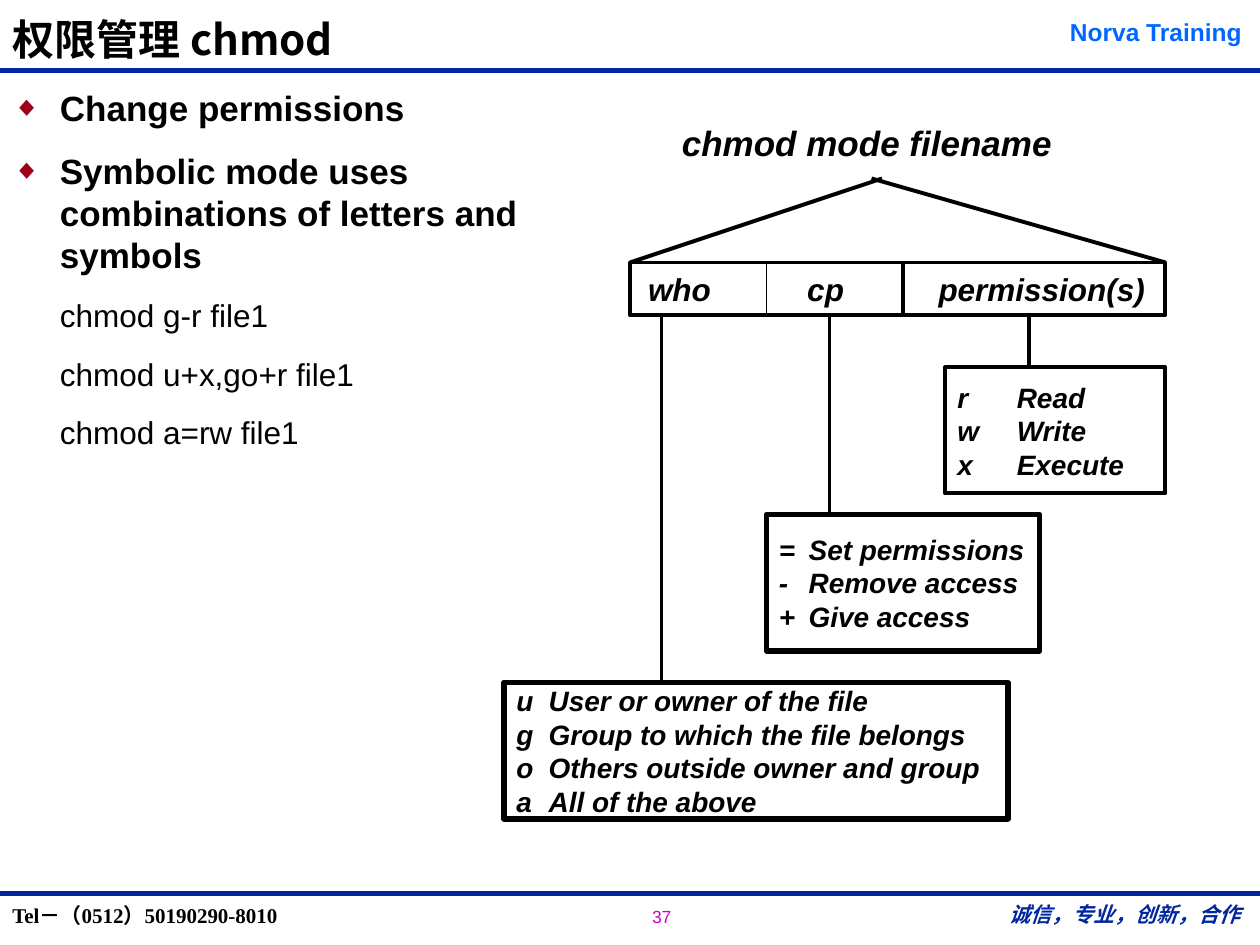
"""Build the slide on chmod symbolic mode with its permission diagram."""
from lxml.etree import SubElement
from pptx import Presentation
from pptx.dml.color import RGBColor
from pptx.enum.shapes import MSO_CONNECTOR, MSO_SHAPE
from pptx.enum.text import MSO_ANCHOR, MSO_AUTO_SIZE, PP_ALIGN
from pptx.oxml.ns import qn
from pptx.util import Pt

BLACK = RGBColor(0x00, 0x00, 0x00)
WHITE = RGBColor(0xFF, 0xFF, 0xFF)
NAVY = RGBColor(0x00, 0x27, 0x9F)
BLUE = RGBColor(0x00, 0x66, 0xFF)
MAGENTA = RGBColor(0xCC, 0x00, 0xCC)
CRIMSON = RGBColor(0x9E, 0x00, 0x1B)
CHINESE_FONT = "Noto Sans CJK SC"


def format_text(paragraph, size, color=BLACK, bold=True, italic=False, font="Arial"):
    for span in paragraph.runs:
        span.font.size = Pt(size)
        span.font.bold = bold
        span.font.italic = italic
        span.font.name = font
        span.font.color.rgb = color
        SubElement(span.font._element, qn("a:ea"), typeface=CHINESE_FONT)


def add_line(page, start, end, width=2.25, color=BLACK):
    points = [Pt(value) for value in (*start, *end)]
    line = page.shapes.add_connector(MSO_CONNECTOR.STRAIGHT, *points)
    line.line.color.rgb = color
    line.line.width = Pt(width)
    SubElement(line._element.spPr, qn("a:effectLst"))


deck = Presentation()
deck.slide_width, deck.slide_height = Pt(720), Pt(540)
page = deck.slides.add_slide(deck.slide_layouts[1])

for rule_y in (40.5, 510.5):
    add_line(page, (0, rule_y), (720, rule_y), 2.75, NAVY)

title = page.shapes.title
title.left, title.top, title.width, title.height = Pt(0), Pt(0), Pt(600), Pt(40.5)
title.text_frame.text = "权限管理 chmod"
title.text_frame.auto_size = MSO_AUTO_SIZE.NONE
title.text_frame.vertical_anchor = MSO_ANCHOR.BOTTOM
heading = title.text_frame.paragraphs[0]
heading.alignment = PP_ALIGN.LEFT
heading.line_spacing = 0.87
format_text(heading, 24, font=CHINESE_FONT)

body = page.placeholders[1]
body.left, body.top, body.width, body.height = Pt(0), Pt(46), Pt(306), Pt(459)
body.text_frame.text = "\n".join([
    "Change permissions",
    "Symbolic mode uses combinations of letters and symbols",
    "chmod g-r file1",
    "chmod u+x,go+r file1",
    "chmod a=rw file1",
])
body.text_frame.auto_size = MSO_AUTO_SIZE.NONE
for index, paragraph in enumerate(body.text_frame.paragraphs):
    bulleted = index < 2
    paragraph.space_before = paragraph.space_after = Pt(5.9)
    format_text(paragraph, 20 if bulleted else 18, bold=bulleted)
    properties = paragraph._p.get_or_add_pPr()
    properties.set("marL", str(Pt(27)))
    properties.set("indent", str(Pt(-27 if bulleted else 0)))
    if bulleted:
        bullet_color = SubElement(properties, qn("a:buClr"))
        SubElement(bullet_color, qn("a:srgbClr"), val=str(CRIMSON))
        SubElement(properties, qn("a:buSzPct"), val="80000")
        SubElement(properties, qn("a:buChar"), char="◆")
    else:
        SubElement(properties, qn("a:buNone"))

labels = [
    ("Norva Training", (603, 6, 115, 24), PP_ALIGN.CENTER, 14, BLUE, False, "Arial"),
    ("Tel－（0512）50190290-8010", (0, 511, 204, 24), PP_ALIGN.LEFT, 12, BLACK, False, "Times New Roman"),
    ("37", (365.5, 514, 27, 19), PP_ALIGN.LEFT, 10, MAGENTA, False, "Arial"),
    ("诚信，专业，创新，合作", (566, 508, 154, 29), PP_ALIGN.CENTER, 12, NAVY, True, "Times New Roman"),
    ("chmod mode filename", (382.5, 66, 240, 31), PP_ALIGN.LEFT, 20, BLACK, True, "Arial"),
]
for text, bounds, alignment, size, color, italic, font in labels:
    box = page.shapes.add_textbox(*[Pt(value) for value in bounds])
    box.text_frame.word_wrap = True
    box.text_frame.vertical_anchor = MSO_ANCHOR.MIDDLE
    box.text_frame.text = text
    paragraph = box.text_frame.paragraphs[0]
    paragraph.alignment = alignment
    format_text(paragraph, size, color, text != "37", italic, font)

add_line(page, (504, 102), (360, 150))
add_line(page, (498, 102), (666, 150))

panels = [
    (["who\tcp\tpermission(s)"], (360, 150, 306, 30), 18, 2.25, 10.3, (91, 166)),
    (["r\tRead", "w\tWrite", "x\tExecute"], (540, 210, 126, 72), 16, 2.25, 7.2, (34,)),
    (["=\tSet permissions", "-\tRemove access", "+\tGive access"],
     (438, 294, 156, 78), 16, 3, 7.2, (17,)),
    (["u\tUser or owner of the file", "g\tGroup to which the file belongs",
      "o\tOthers outside owner and group", "a\tAll of the above"],
     (288, 390, 288, 78), 16, 3, 7.2, (18.5,)),
]
for rows, bounds, size, border, inset, tabs in panels:
    panel = page.shapes.add_shape(MSO_SHAPE.RECTANGLE, *[Pt(value) for value in bounds])
    panel.shadow.inherit = False
    panel.fill.solid()
    panel.fill.fore_color.rgb = WHITE
    panel.line.color.rgb = BLACK
    panel.line.width = Pt(border)
    frame = panel.text_frame
    frame.text = "\n".join(rows)
    frame.word_wrap = True
    frame.vertical_anchor = MSO_ANCHOR.MIDDLE
    frame.margin_left, frame.margin_right = Pt(inset), Pt(0)
    for paragraph in frame.paragraphs:
        paragraph.alignment = PP_ALIGN.LEFT
        format_text(paragraph, size, italic=True)
        tab_list = SubElement(paragraph._p.get_or_add_pPr(), qn("a:tabLst"))
        for tab in tabs:
            SubElement(tab_list, qn("a:tab"), pos=str(Pt(tab)), algn="l")

for divider_x, width in ((438, 0.75), (516, 2.25)):
    add_line(page, (divider_x, 150), (divider_x, 180), width)

for stem_x, panel_top in ((588, 210), (474, 294), (378, 390)):
    add_line(page, (stem_x, 180), (stem_x, panel_top))

deck.save("out.pptx")
